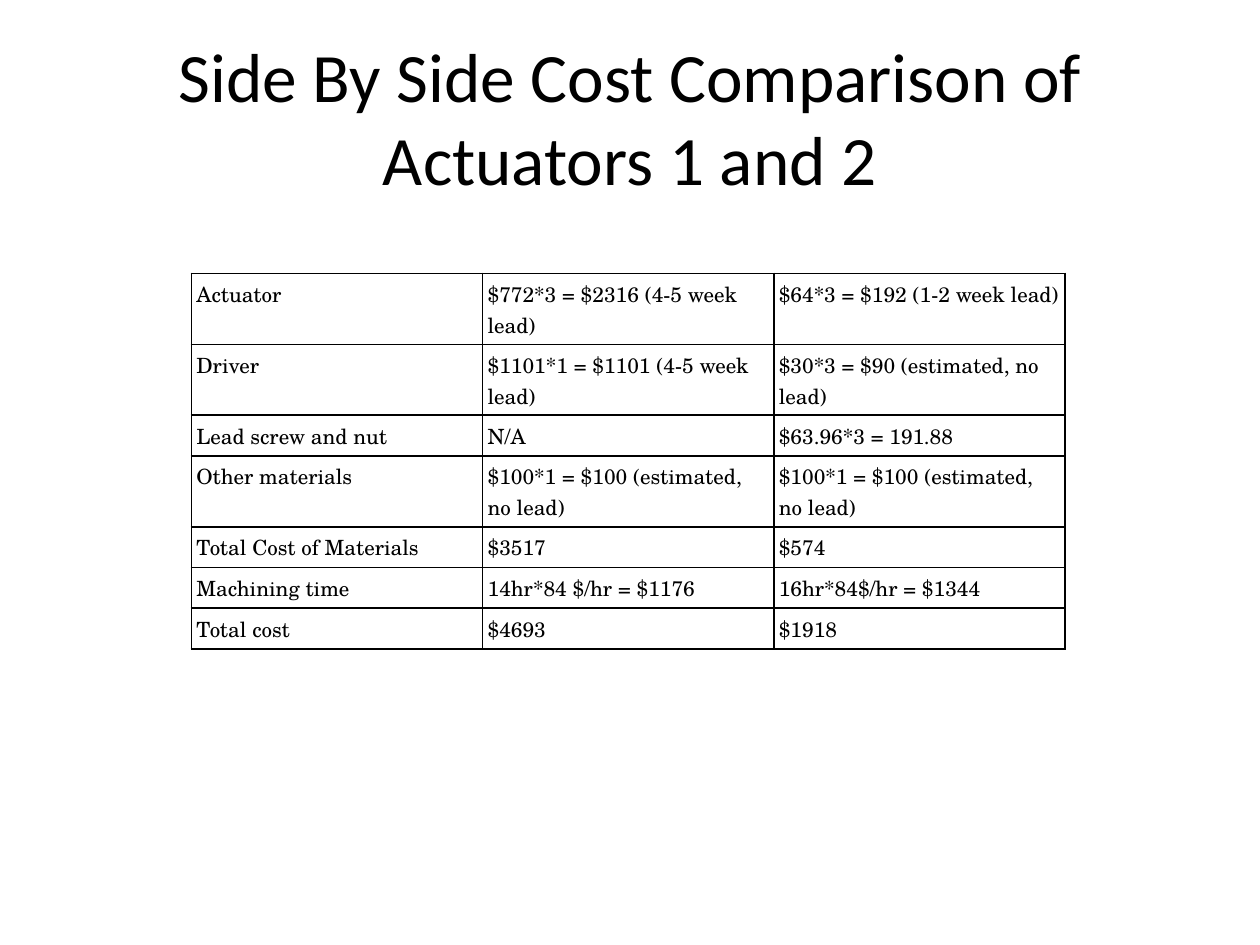
"""Build a slide that compares the costs of two actuators."""
from lxml.etree import SubElement
from pptx import Presentation
from pptx.dml.color import RGBColor
from pptx.enum.text import MSO_ANCHOR, PP_ALIGN
from pptx.oxml.ns import qn
from pptx.util import Cm, Pt

BLACK = RGBColor(0, 0, 0)
TITLE = "Side By Side Cost Comparison of Actuators 1 and 2"
TALL, SHORT = 1.43, 0.82
WIDTH, INSET = 5.87, 0.1
ROWS = [
    (TALL, "Actuator", "$772*3 = $2316 (4-5 week lead)", "$64*3 = $192 (1-2 week lead)"),
    (TALL, "Driver", "$1101*1 = $1101 (4-5 week lead)", "$30*3 = $90 (estimated, no lead)"),
    (SHORT, "Lead screw and nut", "N/A", "$63.96*3 = 191.88"),
    (TALL, "Other materials", "$100*1 = $100 (estimated, no lead)", "$100*1 = $100 (estimated, no lead)"),
    (SHORT, "Total Cost of Materials", "$3517", "$574"),
    (SHORT, "Machining time", "14hr*84 $/hr = $1176", "16hr*84$/hr = $1344"),
    (SHORT, "Total cost", "$4693", "$1918"),
]


def write(frame, text, face, size, align):
    para = frame.paragraphs[0]
    para.alignment = align
    run = para.add_run()
    run.text = text
    run.font.name = face
    run.font.size = Pt(size)
    run.font.color.rgb = BLACK


def border(cell):
    props = cell._tc.get_or_add_tcPr()
    for place, side in enumerate(("lnL", "lnR", "lnT", "lnB")):
        line = SubElement(props, qn(f"a:{side}"), w=str(Pt(1)))
        fill = SubElement(line, qn("a:solidFill"))
        SubElement(fill, qn("a:srgbClr"), val=str(BLACK))
        props.insert(place, line)


def add_title(slide):
    frame = slide.shapes.add_textbox(Cm(1.27), Cm(0.76), Cm(22.86), Cm(3.18)).text_frame
    frame.word_wrap = True
    frame.vertical_anchor = MSO_ANCHOR.MIDDLE
    write(frame, TITLE, "Calibri", 39.6, PP_ALIGN.CENTER)


def add_costs(slide):
    count = len(ROWS[0]) - 1
    high = sum(row[0] for row in ROWS)
    table = slide.shapes.add_table(
        len(ROWS), count, Cm(3.86), Cm(5.51), Cm(WIDTH * count), Cm(high)).table
    table.first_row = table.horz_banding = False
    for col in table.columns:
        col.width = Cm(WIDTH)
    for row, (height, *texts) in zip(table.rows, ROWS):
        row.height = Cm(height)
        for cell, text in zip(row.cells, texts):
            cell.fill.background()
            cell.margin_left = cell.margin_right = Cm(INSET)
            cell.margin_top = cell.margin_bottom = Cm(INSET)
            border(cell)
            write(cell.text_frame, text, "TeX Gyre Schola", 12, PP_ALIGN.LEFT)


def main():
    deck = Presentation()
    deck.slide_width, deck.slide_height = Cm(25.4), Cm(19.05)
    slide = deck.slides.add_slide(deck.slide_layouts[6])
    add_title(slide)
    add_costs(slide)
    deck.save("out.pptx")


if __name__ == "__main__":
    main()
